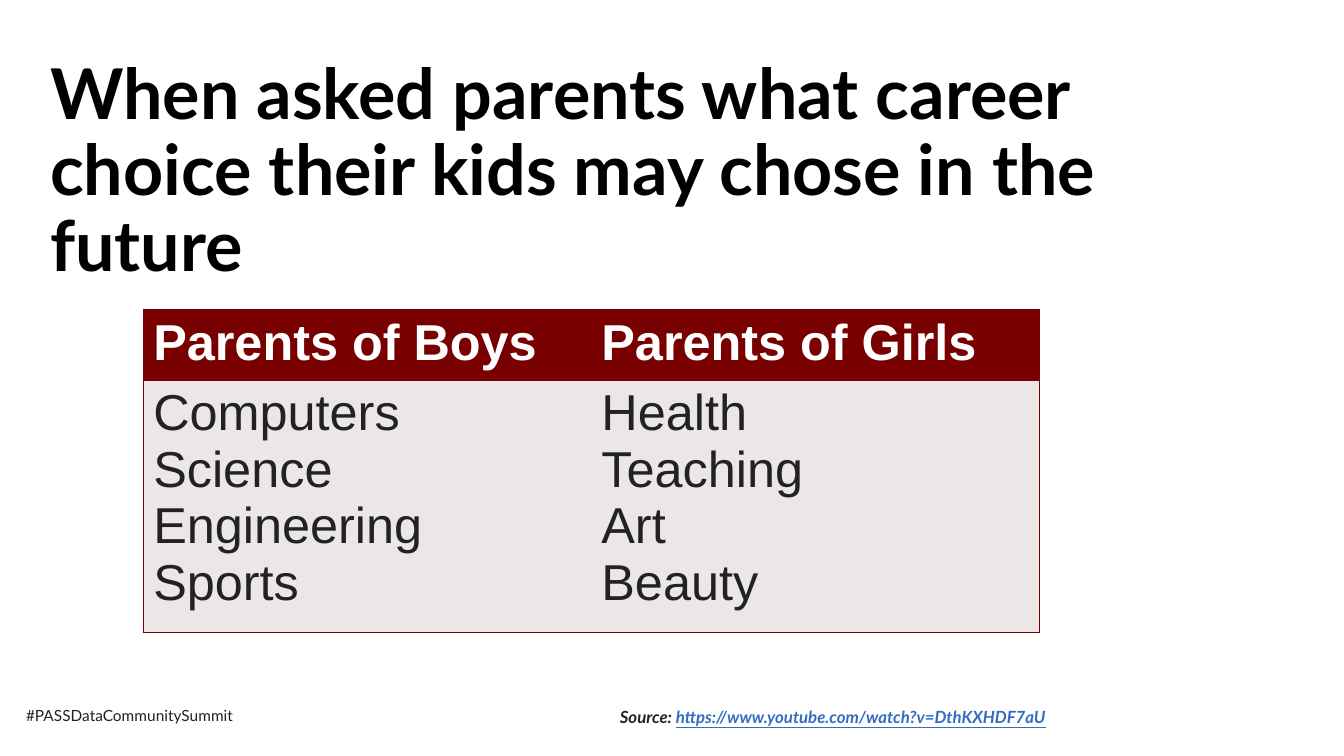
from dataclasses import dataclass

from lxml import etree
from pptx import Presentation
from pptx import util as u
from pptx.dml.color import RGBColor
from pptx.enum import text
from pptx.oxml import ns


@dataclass(frozen=True)
class Theme:
    heading_font: str = "Lato"
    table_font: str = "Arial"
    black: str = "000000"
    ink: str = "222222"
    white: str = "FFFFFF"
    maroon: str = "790000"
    pale: str = "ECE7E7"
    link: str = "336DC1"
    title_size: int = 50
    table_size: int = 36
    source_size: int = 12
    hashtag_size: int = 11
    border_width: int = 1


THEME = Theme()


def write(paragraph, words, *, size, color, font=THEME.heading_font,
          bold=False, italic=False, underline=False):
    """Add one formatted run to a paragraph."""
    run = paragraph.add_run()
    run.text = words
    run.font.name = font
    run.font.size = u.Pt(size)
    run.font.bold = bold
    run.font.italic = italic
    run.font.underline = underline
    run.font.color.rgb = RGBColor.from_string(color)


def add_box(slide, box, wrap=True):
    """Add a top-anchored text box and return its first paragraph."""
    frame = slide.shapes.add_textbox(*map(u.Inches, box)).text_frame
    frame.word_wrap = wrap
    frame.vertical_anchor = text.MSO_ANCHOR.TOP
    return frame.paragraphs[0]


def set_borders(cell, visible):
    """Draw the visible sides (letters of LRTB) and clear the others."""
    properties = cell._tc.get_or_add_tcPr()
    for side in "LRTB":
        line = etree.SubElement(properties, ns.qn(f"a:ln{side}"))
        if side in visible:
            line.set("w", str(u.Pt(THEME.border_width)))
            fill = etree.SubElement(line, ns.qn("a:solidFill"))
            etree.SubElement(fill, ns.qn("a:srgbClr"), val=THEME.maroon)
        else:
            line.set("w", "0")
            etree.SubElement(line, ns.qn("a:noFill"))


def add_title(slide, box):
    title = add_box(slide, box)
    title.line_spacing = 0.9
    write(title, "When asked parents what career choice their kids may chose in the future",
          size=THEME.title_size, color=THEME.black, bold=True)


def add_career_table(slide, box, careers, row_heights):
    table = slide.shapes.add_table(2, len(careers), *map(u.Inches, box)).table
    table.horz_banding = False
    for row, height in zip(table.rows, row_heights):
        row.height = u.Inches(height)

    for column, (parents, choices) in enumerate(careers.items()):
        table.columns[column].width = u.Inches(box[2] / len(careers))
        outer_side = "L" if column == 0 else "R"
        # Header cell above, all choices in one cell below
        rows = [([parents], THEME.maroon, THEME.white, True),
                (choices, THEME.pale, THEME.ink, False)]
        for index, (lines, background, color, bold) in enumerate(rows):
            cell = table.cell(index, column)
            set_borders(cell, outer_side + "TB")
            cell.fill.solid()
            cell.fill.fore_color.rgb = RGBColor.from_string(background)
            frame = cell.text_frame
            for number, words in enumerate(lines):
                paragraph = frame.add_paragraph() if number else frame.paragraphs[0]
                write(paragraph, words, size=THEME.table_size, color=color,
                      font=THEME.table_font, bold=bold)


def add_footer(slide, box):
    left, top, width, height = box
    # Event hashtag at the left
    hashtag = add_box(slide, (left, top, 2.34, 0.29), wrap=False)
    write(hashtag, "#PASSDataCommunitySummit", size=THEME.hashtag_size, color=THEME.ink)
    # Source at the right
    source_width = 6.67
    source = add_box(slide, (left + width - source_width, top, source_width, height))
    source_format = dict(size=THEME.source_size, bold=True, italic=True)
    write(source, "Source: ", color=THEME.ink, **source_format)
    write(source, "https://www.youtube.com/watch?v=DthKXHDF7aU",
          color=THEME.link, underline=True, **source_format)


def main():
    deck = Presentation()
    deck.slide_width, deck.slide_height = u.Inches(13.33), u.Inches(7.5)
    slide = deck.slides.add_slide(deck.slide_layouts[6])

    add_title(slide, (0.4, 0.54, 12.43, 1.45))
    careers = {
        "Parents of Boys": ["Computers", "Science", "Engineering", "Sports"],
        "Parents of Girls": ["Health", "Teaching", "Art", "Beauty"],
    }
    add_career_table(slide, (1.42, 3.07, 8.89, 3), careers, (0.67, 2.33))
    add_footer(slide, (0.16, 6.96, 12.56, 0.5))

    deck.save("out.pptx")


if __name__ == "__main__":
    main()
